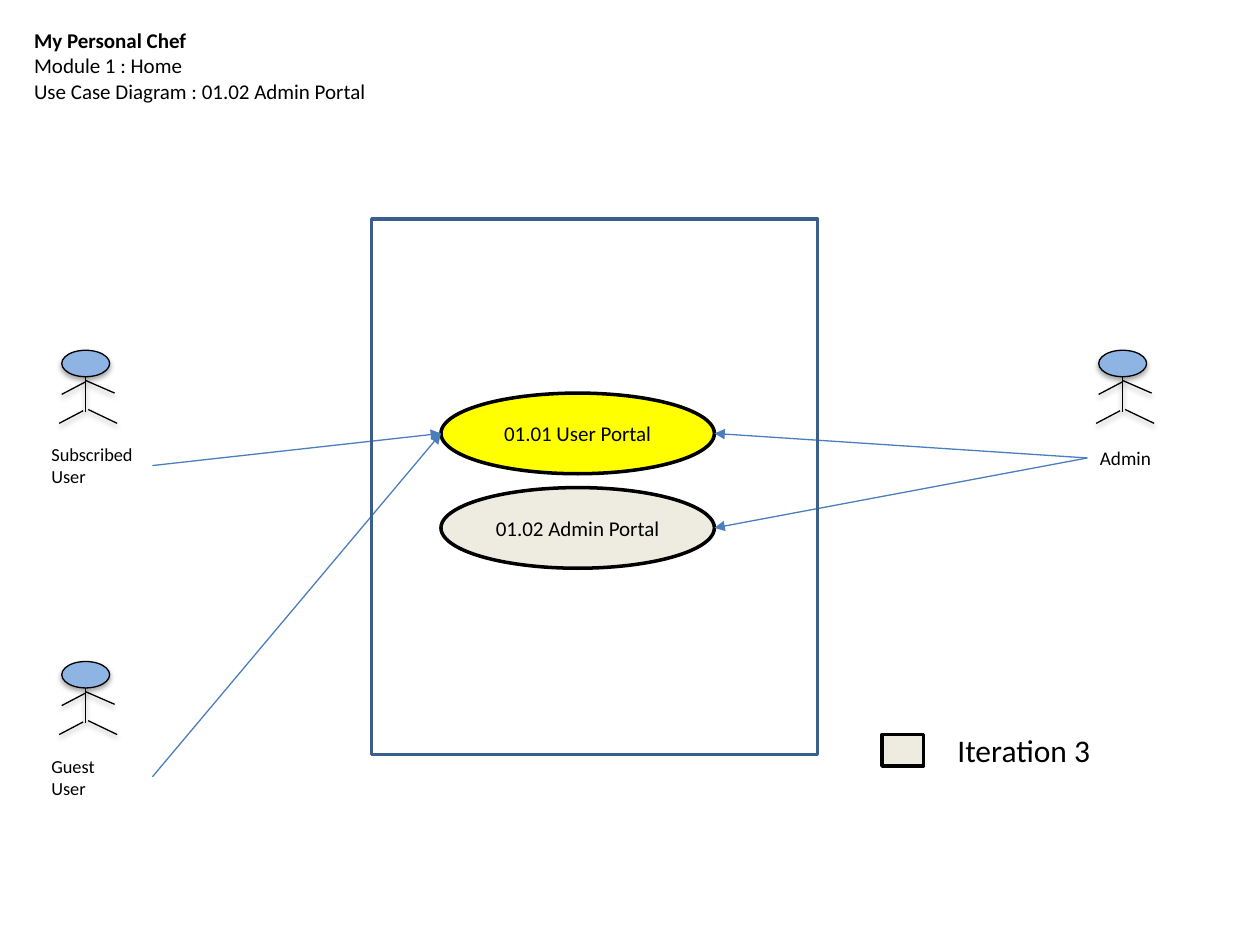
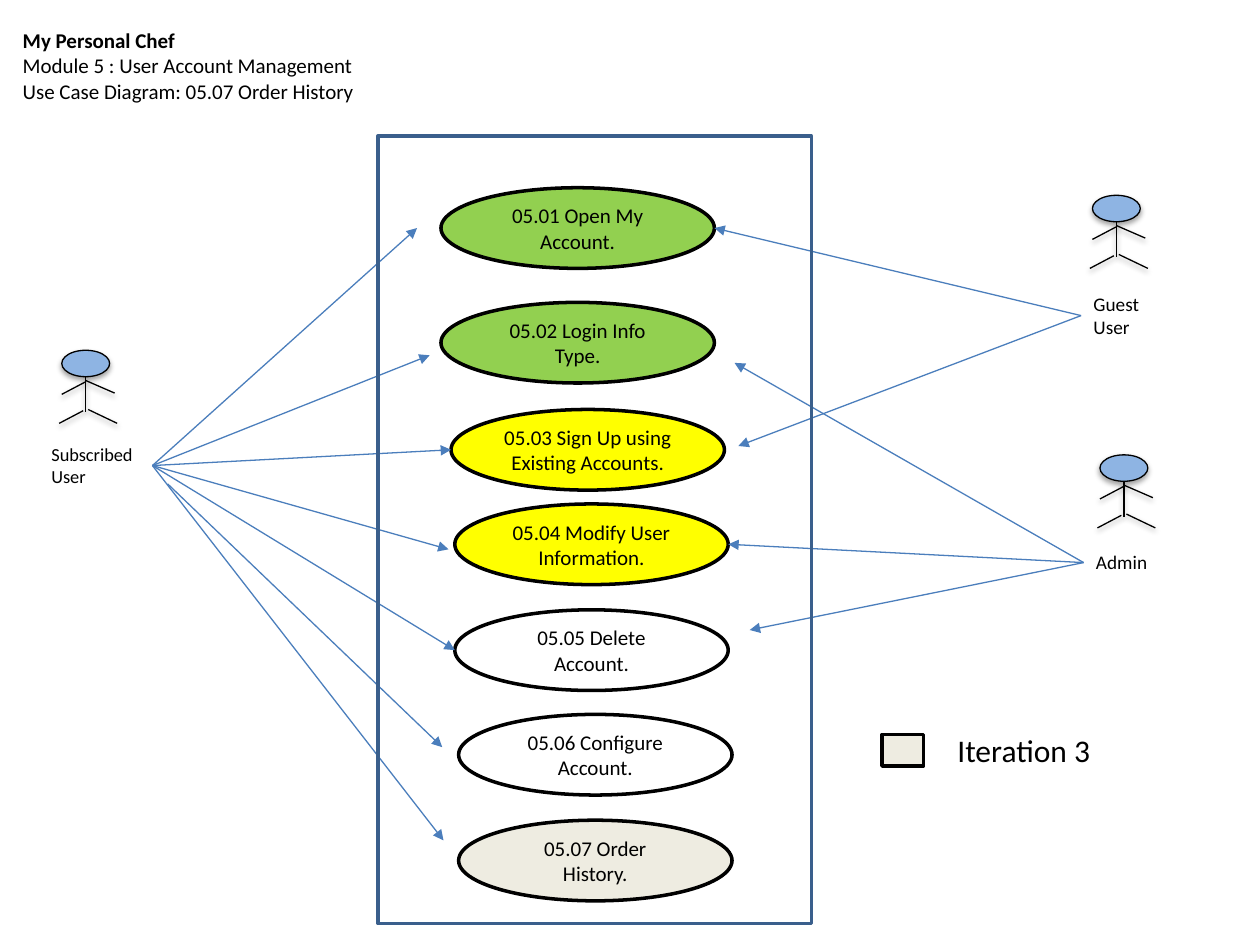
import collections

import lxml.etree
import pptx
import pptx.dml.color
import pptx.enum.shapes
import pptx.enum.text
import pptx.oxml.ns
import pptx.util

# Theme
Theme = collections.namedtuple(
    "Theme", "font ink frame arrow head done current later open "
             "title_size case_size left_size right_size legend_size thin thick")
theme = Theme("Calibri", "000000", "3A5F8C", "4B7EBC", "8EB4E3",
              "92D050", "FFFF00", "EEECE1", None,
              12, 12, 10.5, 11, 18, 0.75, 2)
RGB = pptx.dml.color.RGBColor.from_string
SHAPE = pptx.enum.shapes.MSO_SHAPE
qn = pptx.oxml.ns.qn

prs = pptx.Presentation()
prs.slide_width, prs.slide_height = pptx.util.Inches(10), pptx.util.Inches(7.5)
cell = prs.slide_width // 100  # square grid: 100 columns by 75 rows

# Sizes in grid cells
CASE_W, CASE_H = 21.7, 6.4
HEAD_W, HEAD_H = 3.8, 2.1
LIMBS = [(1.9, 2.1, 1.9, 4.9),                        # body
         (1.9, 2.5, 0, 3.5), (1.9, 2.4, 4.2, 3.4),    # arms
         (1.7, 4.8, -0.2, 5.8), (2.1, 4.7, 4.4, 5.8)]  # legs
LEFT_LABEL = (-1.8, 6.9, 9, 4.5)  # offset from the head, then size


def add(shapes, kind, box, text="", size=12, fill=None, line=None, width=theme.thick):
    """Add a preset shape, or a text box when kind is None."""
    box = [round(v * cell) for v in box]
    if kind is None:
        sp = shapes.add_textbox(*box)
    else:
        sp = shapes.add_shape(kind, *box)
        sp.shadow.inherit = False
        sp.line.color.rgb = RGB(line)
        sp.line.width = pptx.util.Pt(width)
        if fill:
            sp.fill.solid()
            sp.fill.fore_color.rgb = RGB(fill)
        else:
            sp.fill.background()
    if text:
        sp.text_frame.word_wrap = True
        p = sp.text_frame.paragraphs[0]
        p.text = text
        p.font.name, p.font.size = theme.font, pptx.util.Pt(size)
        p.font.color.rgb = RGB(theme.ink)
    return sp


def connect(shapes, ends, color, arrow=False):
    """Add a thin straight line, with an arrowhead at its end if asked."""
    c = shapes.add_connector(pptx.enum.shapes.MSO_CONNECTOR.STRAIGHT,
                             *[round(v * cell) for v in ends])
    c.line.color.rgb = RGB(color)
    c.line.width = pptx.util.Pt(theme.thin)
    if arrow:
        lxml.etree.SubElement(c.line._get_or_add_ln(), qn("a:tailEnd"), type="triangle")
    lxml.etree.SubElement(c._element.spPr, qn("a:effectLst"))
    return c


# Diagrams. Case: left, top, fill, text.
# Actor: head left, head top, name, label box, targets.
# Target: a case number, an end point, or a start and an end point.
diagrams = [
    dict(title_left=1.7,
         title=["My Personal Chef", "Module 1 : Home",
                "Use Case Diagram : 01.02 Admin Portal"],
         frame=(29.5, 17.4, 35.4, 42.5),
         cases=[(35, 31.2, theme.current, "01.01 User Portal"),
                (35, 38.7, theme.later, "01.02 Admin Portal")],
         actors=[(4.9, 27.8, "Subscribed User", LEFT_LABEL, [0]),
                 (4.9, 52.5, "Guest\vUser", LEFT_LABEL, [0]),
                 (87.2, 27.8, "Admin", (-0.9, 7.1, 6.8, 2.9), [0, 1])]),
    dict(title_left=0.8,
         title=["My Personal Chef", "Module 5 : User Account Management",
                "Use Case Diagram: 05.07 Order History"],
         frame=(30, 10.8, 34.4, 62.5),
         cases=[(35, 14.9, theme.done, "05.01 Open My Account."),
                (35, 24, theme.done, "05.02 Login Info Type."),
                (35.8, 32.5, theme.current, "05.03 Sign Up using Existing Accounts."),
                (36.1, 40, theme.current, "05.04 Modify User Information."),
                (36.1, 48.4, theme.open, "05.05 Delete Account."),
                (36.4, 56.7, theme.open, "05.06 Configure Account."),
                (36.4, 65.1, theme.later, "05.07 Order History.")],
         actors=[(4.9, 27.8, "Subscribed User", LEFT_LABEL,
                  [(33.1, 18.1), (34.1, 28.2), 2, (35.6, 43.6), 4,
                   (13.3, 38.4, 35.1, 59.3), (35.2, 66.7)]),
                 (86.7, 15.5, "Guest User", (-0.9, 7.2, 6.8, 4.7), [0, (58.6, 35.4)]),
                 (87.3, 36.1, "Admin", (-1.3, 7.1, 7.3, 2.9),
                  [(58.3, 28.8), 3, (59.5, 50)])]),
]

for d in diagrams:
    s = prs.slides.add_slide(prs.slide_layouts[5])

    # Title
    title = s.shapes.title
    title.left, title.top, title.width, title.height = [
        round(v * cell) for v in (d["title_left"], 1.7, 40.8, 7.1)]
    tf = title.text_frame
    tf.text = "\n".join(d["title"])
    tf.word_wrap = True
    tf.auto_size = pptx.enum.text.MSO_AUTO_SIZE.NONE
    tf.vertical_anchor = pptx.enum.text.MSO_ANCHOR.TOP
    for i, p in enumerate(tf.paragraphs):
        p.alignment = pptx.enum.text.PP_ALIGN.LEFT
        p.font.name, p.font.size = theme.font, pptx.util.Pt(theme.title_size)
        p.font.color.rgb = RGB(theme.ink)
        p.font.bold = i == 0

    # Use cases
    for x, y, fill, text in d["cases"]:
        add(s.shapes, SHAPE.OVAL, (x, y, CASE_W, CASE_H), text,
            theme.case_size, fill, theme.ink)

    # Actors and their arrows
    for x, y, name, (dx, dy, w, h), targets in d["actors"]:
        on_left = x < 50
        actor = s.shapes.add_group_shape().shapes
        parts = [add(actor, SHAPE.OVAL, (x, y, HEAD_W, HEAD_H), fill=theme.head,
                     line=theme.ink, width=theme.thin)]
        parts += [connect(actor, (x + a, y + b, x + e, y + f), theme.ink)
                  for a, b, e, f in LIMBS]
        for part in parts:
            effects = part._element.spPr.find(qn("a:effectLst"))
            shadow = lxml.etree.SubElement(effects, qn("a:outerShdw"), blurRad="39370",
                                           dist="21590", dir="5400000", rotWithShape="0")
            black = lxml.etree.SubElement(shadow, qn("a:srgbClr"), val=theme.ink)
            lxml.etree.SubElement(black, qn("a:alpha"), val="37000")
        label = add(actor, None, (x + dx, y + dy, w, h), name,
                    theme.left_size if on_left else theme.right_size)

        for target in targets:
            if isinstance(target, int):
                case_x, case_y = d["cases"][target][:2]
                target = (case_x + (0 if on_left else CASE_W), case_y + CASE_H / 2)
            start = target[:-2]
            c = connect(s.shapes, (start or (x, y)) + target[-2:], theme.arrow, arrow=True)
            if not start:
                c.begin_connect(label, 3 if on_left else 1)

    # Legend and system frame
    add(s.shapes, SHAPE.RECTANGLE, (70, 58.3, 3.3, 2.5), fill=theme.later, line=theme.ink)
    add(s.shapes, None, (75, 57.5, 19.2, 4), "Iteration 3", theme.legend_size)
    add(s.shapes, SHAPE.RECTANGLE, d["frame"], line=theme.frame)

prs.save("out.pptx")
